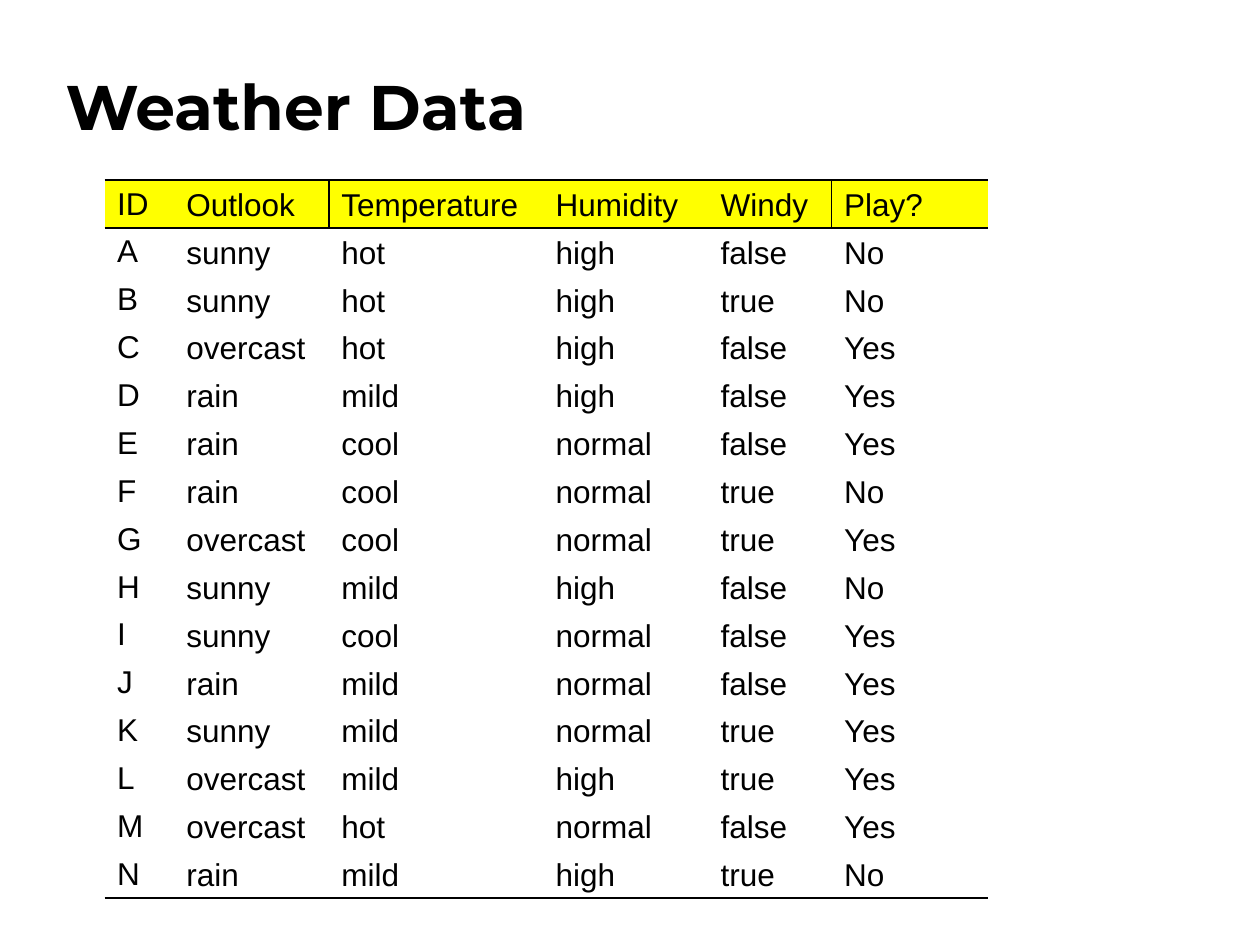
"""Build the weather data slide: a title and a ruled table."""
import pptx
import pptx.dml.color
import pptx.enum.text
import pptx.oxml.ns
import pptx.util
import lxml.etree

Inches = pptx.util.Inches
Pt = pptx.util.Pt
anchor = pptx.enum.text.MSO_ANCHOR
black = pptx.dml.color.RGBColor.from_string("000000")
theme = {
    "title": {"name": "Montserrat", "size": Pt(36), "bold": True},
    "cell": {"name": "Arial", "size": Pt(18), "bold": False},
    "ink": black,
    "head": pptx.dml.color.RGBColor.from_string("FFFF00"),
    "rule": Pt(1),
}
pads = {
    "margin_left": Inches(0.1),
    "margin_right": Inches(0.1),
    "margin_top": Inches(0.05),
    "margin_bottom": Inches(0.04),
}
widths = [0.55, 1.23, 1.7, 1.31, 0.98, 1.24]
pitch = 0.38
rows = [line.split() for line in """
ID Outlook Temperature Humidity Windy Play?
A sunny hot high false No
B sunny hot high true No
C overcast hot high false Yes
D rain mild high false Yes
E rain cool normal false Yes
F rain cool normal true No
G overcast cool normal true Yes
H sunny mild high false No
I sunny cool normal false Yes
J rain mild normal false Yes
K sunny mild normal true Yes
L overcast mild high true Yes
M overcast hot normal false Yes
N rain mild high true No
""".strip().splitlines()]


def style(text, kind):
    para = text.paragraphs[0]
    para.alignment = pptx.enum.text.PP_ALIGN.LEFT
    font = para.runs[0].font
    for key, val in theme[kind].items():
        setattr(font, key, val)
    font.color.rgb = theme["ink"]


def border(cell, drawn):
    qn = pptx.oxml.ns.qn
    props = cell._tc.get_or_add_tcPr()
    for spot, side in enumerate("LRTB"):
        edge = lxml.etree.Element(qn("a:ln" + side))
        if side in drawn:
            edge.set("w", str(theme["rule"]))
            fill = lxml.etree.SubElement(edge, qn("a:solidFill"))
            lxml.etree.SubElement(fill, qn("a:srgbClr"), val=str(theme["ink"]))
        else:
            edge.set("w", "0")
            lxml.etree.SubElement(edge, qn("a:noFill"))
        props.insert(spot, edge)


deck = pptx.Presentation()
deck.slide_width, deck.slide_height = Inches(10), Inches(7.5)
slide = deck.slides.add_slide(deck.slide_layouts[5])

title = slide.shapes.title
place = {"left": 0.42, "top": 0.42, "width": 3.92, "height": 0.83}
for key, val in place.items():
    setattr(title, key, Inches(val))
title.text_frame.text = "Weather Data"
title.text_frame.word_wrap = True
title.text_frame.vertical_anchor = anchor.MIDDLE
style(title.text_frame, "title")

frame = slide.shapes.add_table(
    len(rows), len(widths), Inches(0.83), Inches(1.43),
    Inches(sum(widths)), Inches(pitch * len(rows)))
table = frame.table
table.first_row = table.horz_banding = False
for col, width in zip(table.columns, widths):
    col.width = Inches(width)

for y, row in enumerate(rows):
    table.rows[y].height = Inches(pitch)
    for x, word in enumerate(row):
        cell = table.cell(y, x)
        cell.text = word
        style(cell.text_frame, "cell")
        for key, val in pads.items():
            setattr(cell, key, val)
        cell.vertical_anchor = anchor.BOTTOM if x else anchor.TOP
        sides = "T" if y < 2 else ""
        if y in (0, len(rows) - 1):
            sides += "B"
        if y == 0:
            cell.fill.solid()
            cell.fill.fore_color.rgb = theme["head"]
            sides += "R" if x in (1, 4) else ""
            sides += "L" if x in (2, 5) else ""
        else:
            cell.fill.background()
        border(cell, sides)

deck.save("out.pptx")
